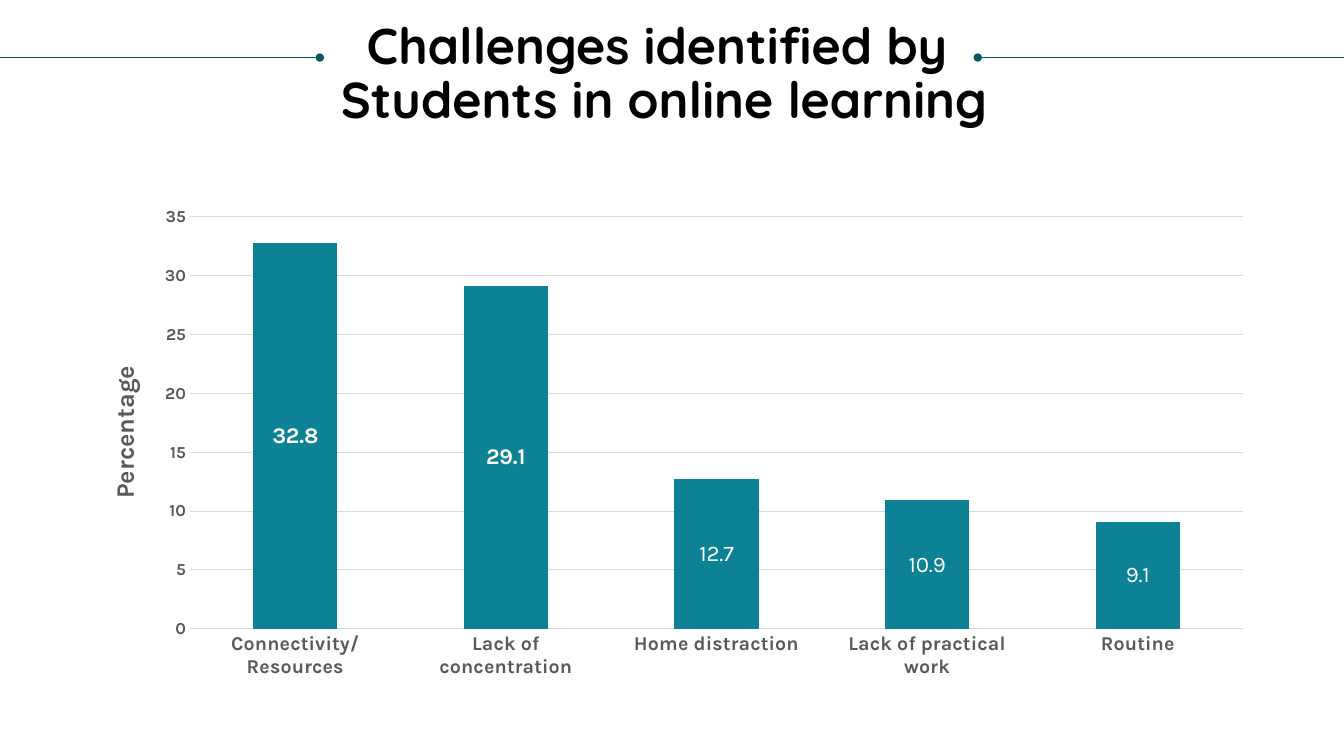
from lxml.etree import SubElement
from pptx import Presentation
from pptx.chart.data import CategoryChartData
from pptx.dml.color import RGBColor
from pptx.enum.chart import XL_CHART_TYPE as ChartType, XL_LABEL_POSITION as LabelPos, XL_TICK_MARK as TickMark
from pptx.enum.shapes import MSO_CONNECTOR as Connector
from pptx.enum.text import MSO_ANCHOR as Anchor, MSO_AUTO_SIZE as AutoSize, PP_ALIGN as Align
from pptx.oxml import parse_xml
from pptx.oxml.ns import nsdecls, qn
from pptx.util import Cm, Pt

BLACK = RGBColor(0x00, 0x00, 0x00)
WHITE = RGBColor(0xFF, 0xFF, 0xFF)
GREY = RGBColor(0x59, 0x59, 0x59)
GRID = RGBColor(0xD9, 0xD9, 0xD9)
TEAL = RGBColor(0x0D, 0x82, 0x95)
DARK_TEAL = RGBColor(0x08, 0x57, 0x64)

TITLE = ["Challenges identified by ", "Students in online learning"]
CHALLENGES = {
    "Connectivity/Resources": 32.8,
    "Lack of concentration": 29.1,
    "Home distraction": 12.7,
    "Lack of practical work": 10.9,
    "Routine": 9.1,
}
PLOT = {"x": 0.091, "y": 0.035, "w": 0.909, "h": 0.859}
AXIS_TITLE = {"x": 0.016, "y": 0.336}


def set_font(font, size, color, bold=True, name="Karla"):
    font.name = name
    font.size = Pt(size)
    font.bold = bold
    font.color.rgb = color


def add_dot_line(s, start, end, y):
    line = s.shapes.add_connector(Connector.STRAIGHT, start, y, end, y)
    line.line.color.rgb = DARK_TEAL
    line.line.width = Pt(0.5)
    SubElement(line.line._get_or_add_ln(), qn("a:tailEnd"), type="oval")
    SubElement(line._element.spPr, qn("a:effectLst"))


def add_header(s, x, y, w, h):
    line_y = y + Cm(0.93)
    add_dot_line(s, x, x + Cm(8.06), line_y)
    add_dot_line(s, x + w, x + Cm(24.64), line_y)

    sp = s.shapes.title
    sp.left, sp.top, sp.width, sp.height = x + Cm(0.44), y, Cm(32.59), h
    tf = sp.text_frame
    tf.margin_left = tf.margin_right = tf.margin_top = tf.margin_bottom = 0
    tf.word_wrap = True
    tf.auto_size = AutoSize.NONE
    tf.vertical_anchor = Anchor.TOP
    tf.text = "\n".join(TITLE)
    for p in tf.paragraphs:
        p.alignment = Align.CENTER
        p.line_spacing = 0.9
        set_font(p.runs[0].font, 36, BLACK, name="Quicksand")


def make_layout(box, target=""):
    sizes = "".join(f'<c:{key} val="{val}"/>' for key, val in box.items())
    return parse_xml(
        f'<c:layout {nsdecls("c")}><c:manualLayout>{target}'
        f'<c:xMode val="edge"/><c:yMode val="edge"/>{sizes}</c:manualLayout></c:layout>')


def set_layouts(chart):
    plot_area = chart._chartSpace.chart.plotArea
    title = chart.value_axis.axis_title._element
    for parent in (plot_area, title):
        for old in parent.findall(qn("c:layout")):
            parent.remove(old)
    plot_area.insert(0, make_layout(PLOT, '<c:layoutTarget val="inner"/>'))
    title.find(qn("c:tx")).addnext(make_layout(AXIS_TITLE))


def format_axes(chart):
    cat_axis, val_axis = chart.category_axis, chart.value_axis
    for axis, size in ((cat_axis, 14), (val_axis, 12)):
        axis.major_tick_mark = axis.minor_tick_mark = TickMark.NONE
        set_font(axis.tick_labels.font, size, GREY)

    val_axis.minimum_scale, val_axis.maximum_scale, val_axis.major_unit = 0, 35, 5
    val_axis.format.line.fill.background()
    for line in (cat_axis.format.line, val_axis.major_gridlines.format.line):
        line.color.rgb = GRID
        line.width = Pt(0.75)

    tf = val_axis.axis_title.text_frame
    tf.text = "Percentage"
    tf._txBody.bodyPr.set("rot", "-5400000")
    tf._txBody.bodyPr.set("vert", "horz")
    set_font(tf.paragraphs[0].runs[0].font, 18, GREY)


def format_bars(plot):
    plot.gap_width = 150
    plot.overlap = 100
    plot.vary_by_categories = False
    series = plot.series[0]
    series.format.fill.solid()
    series.format.fill.fore_color.rgb = TEAL
    for i in range(len(CHALLENGES)):
        label = series.points[i].data_label
        set_font(label.font, 16, WHITE, bold=i < 2)
        label.position = LabelPos.CENTER


def add_challenge_chart(s, x, y, w, h):
    data = CategoryChartData()
    data.categories = list(CHALLENGES)
    blank = [None] * len(CHALLENGES)
    for i, values in enumerate((list(CHALLENGES.values()), blank, blank), 1):
        data.add_series(f"Series {i}", values)
    chart = s.shapes.add_chart(ChartType.COLUMN_STACKED, x, y, w, h, data).chart
    chart.has_title = False
    chart.has_legend = False
    set_font(chart.font, 10, BLACK, bold=False)
    format_axes(chart)
    format_bars(chart.plots[0])
    set_layouts(chart)


def main():
    prs = Presentation()
    prs.slide_width, prs.slide_height = Cm(33.87), Cm(19.05)
    s = prs.slides.add_slide(prs.slide_layouts.get_by_name("Title Only"))
    add_header(s, 0, Cm(0.52), prs.slide_width, Cm(2.77))
    add_challenge_chart(s, Cm(2.13), Cm(5.04), Cm(29.21), Cm(12.09))
    prs.save("out.pptx")


if __name__ == "__main__":
    main()
